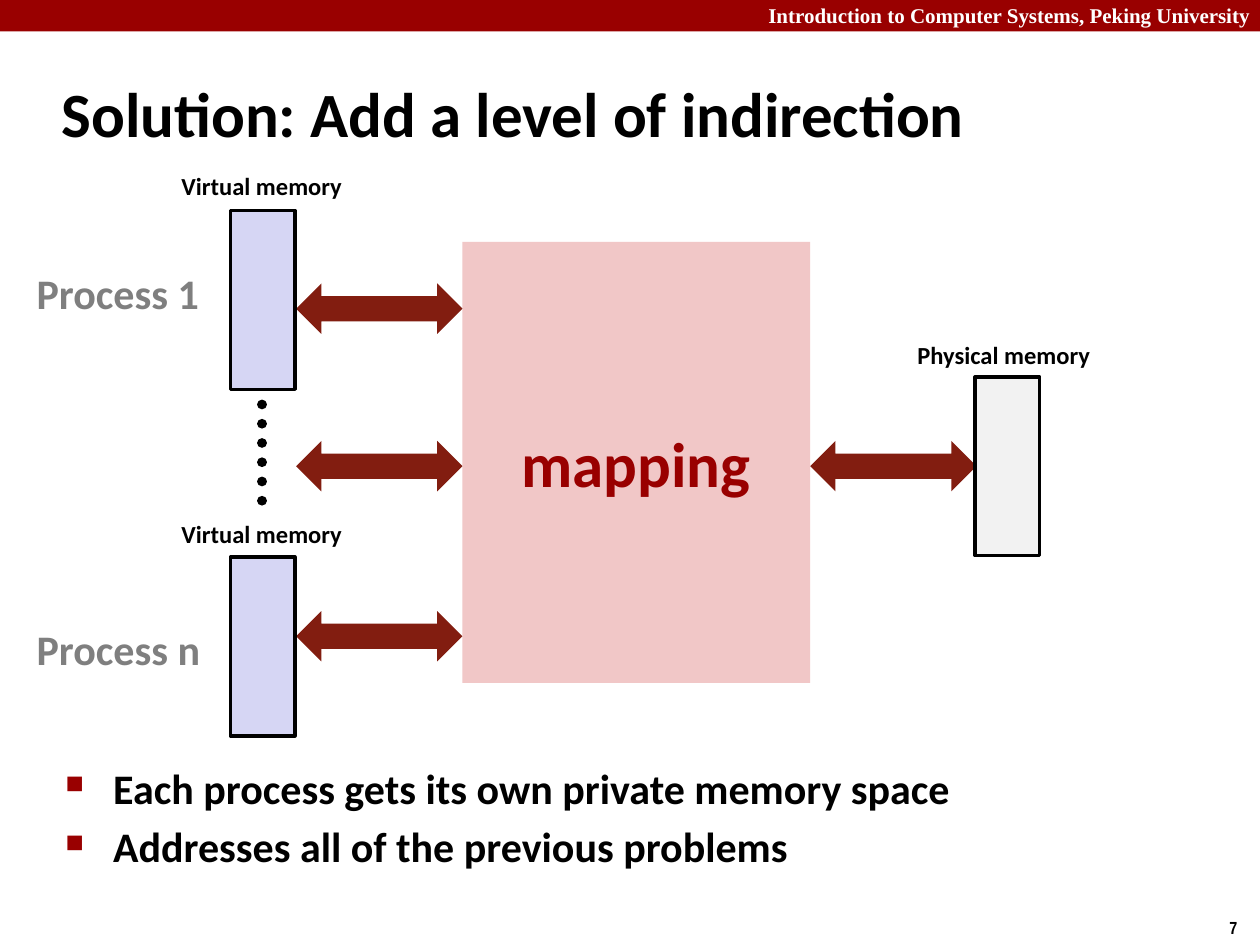
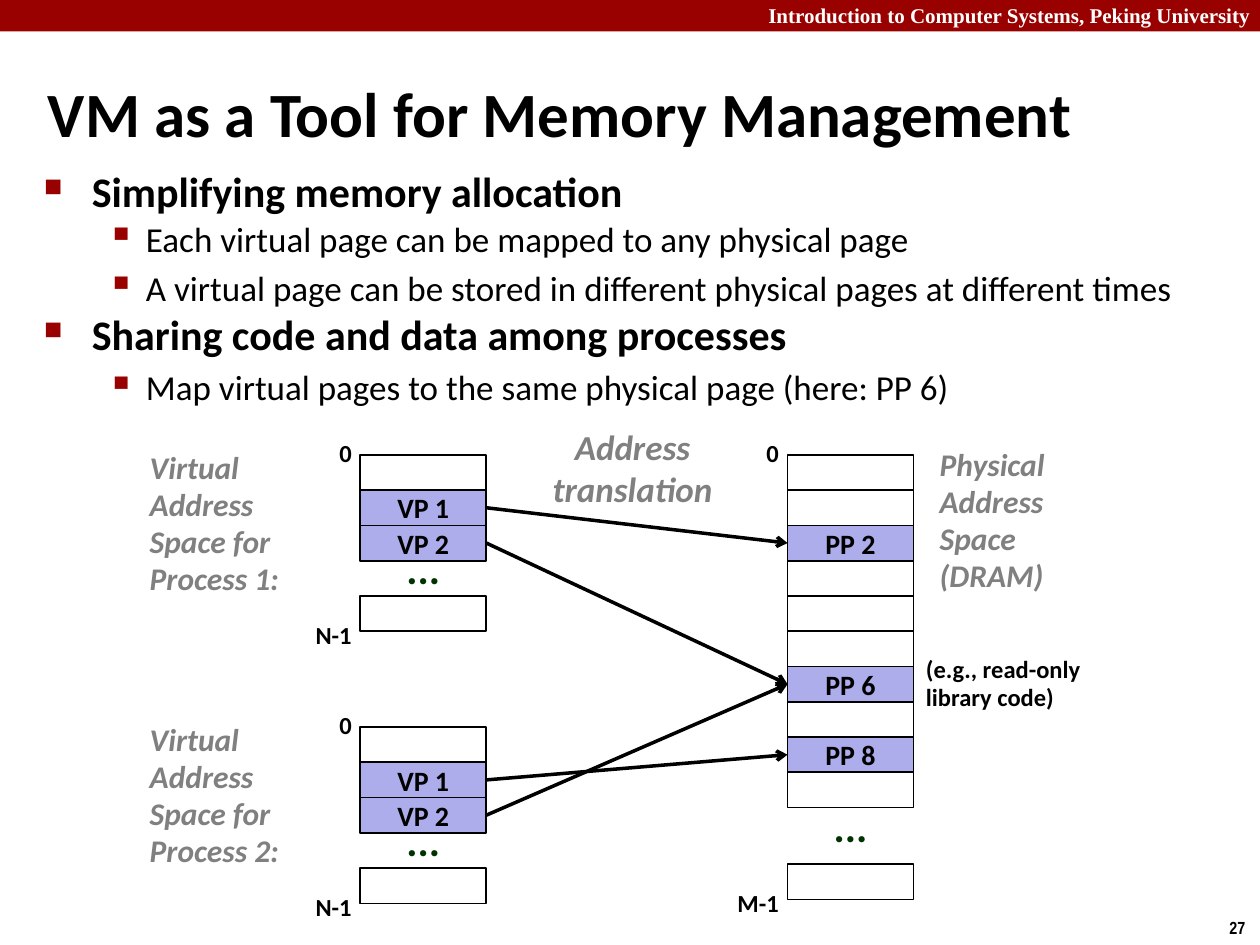
from lxml import etree
from pptx import Presentation
from pptx import util as u
from pptx.dml.color import RGBColor
from pptx.enum import dml, shapes, text
from pptx.oxml import ns

BLACK, WHITE, RED, BROWN = "000000", "FFFFFF", "990000", "821D10"
PINK, LILAC, LAVENDER, PALE = "F1C7C7", "D6D6F4", "ADADEB", "F2F2F2"
GRAY, MID_GRAY, GREEN = "7F7F7F", "808080", "003300"
LEFT, CENTER, RIGHT = text.PP_ALIGN.LEFT, text.PP_ALIGN.CENTER, text.PP_ALIGN.RIGHT
TOP, MIDDLE = text.MSO_ANCHOR.TOP, text.MSO_ANCHOR.MIDDLE
RECTANGLE = shapes.MSO_SHAPE.RECTANGLE
DOUBLE_ARROW = shapes.MSO_SHAPE.LEFT_RIGHT_ARROW
RIGHT_SIDE, LEFT_SIDE = 3, 1

COURSE = "Introduction to Computer Systems, Peking University"
# Per level: left margin, hanging indent, symbol, symbol percent, text size, bold
BULLET_LEVELS = [(0.38, -0.38, "■", 60, 24, True), (0.81, -0.31, "▪", 110, 20, False)]
CELL_WIDTH, CELL_HEIGHT = 1, 0.28


def color(value):
    return RGBColor.from_string(value)


def inches(box):
    return [u.Inches(length) for length in box]


def add_child(parent, tag, **attributes):
    child = etree.SubElement(parent, ns.qn(tag))
    for name, value in attributes.items():
        child.set(name, str(value))
    return child


def format_paragraph(paragraph, size=14, fill=BLACK, bold=True, italic=False,
                     font="Calibri", align=LEFT, spacing=None):
    paragraph.alignment = align
    if spacing:
        paragraph.line_spacing = spacing
    paragraph.font.name = font
    paragraph.font.size = u.Pt(size)
    paragraph.font.bold = bold
    paragraph.font.italic = italic
    paragraph.font.color.rgb = color(fill)


def write(shape, content, anchor=TOP, inset=(0.1, 0.05), wrap=True, **style):
    """Fill a shape with one paragraph per line of content."""
    frame = shape.text_frame
    frame.auto_size = text.MSO_AUTO_SIZE.NONE
    frame.word_wrap = wrap
    frame.vertical_anchor = anchor
    frame.margin_left = frame.margin_right = u.Inches(inset[0])
    frame.margin_top = frame.margin_bottom = u.Inches(inset[1])
    frame.text = content
    for paragraph in frame.paragraphs:
        format_paragraph(paragraph, **style)


def add_bullet(paragraph, level):
    margin, indent, symbol, percent, _, _ = BULLET_LEVELS[level]
    properties = paragraph._p.get_or_add_pPr()
    properties.set("marL", str(u.Inches(margin)))
    properties.set("indent", str(u.Inches(indent)))
    add_child(add_child(properties, "a:buClr"), "a:srgbClr", val=RED)
    add_child(properties, "a:buSzPct", val=percent * 1000)
    add_child(properties, "a:buChar", char=symbol)


class Deck:
    def __init__(self):
        self.presentation = Presentation()
        self.presentation.slide_width = u.Inches(10)
        self.presentation.slide_height = u.Inches(7.5)
        self.slide = None

    def start_slide(self, title, title_box, number):
        layout = self.presentation.slide_layouts.get_by_name("Title Only")
        self.slide = self.presentation.slides.add_slide(layout)
        holder = self.slide.shapes.title
        holder.left, holder.top, holder.width, holder.height = inches(title_box)
        write(holder, title, anchor=MIDDLE, size=36)
        self.shape(0, 0, 10, 0.25, fill=RED)
        self.label(COURSE, 6, -0.03, 4.07, 0.3, size=12, fill=WHITE, font="Times New Roman")
        self.label(number, 9.66, 7.23, 0.34, 0.27, wrap=False, size=10, font="Arial Narrow")

    def shape(self, *box, kind=RECTANGLE, fill=None, line_width=0):
        shape = self.slide.shapes.add_shape(kind, *inches(box))
        shape.shadow.inherit = False
        if fill:
            shape.fill.solid()
            shape.fill.fore_color.rgb = color(fill)
        else:
            shape.fill.background()
        if line_width:
            shape.line.color.rgb = color(BLACK)
            shape.line.width = u.Pt(line_width)
        else:
            shape.line.fill.background()
        return shape

    def label(self, content, *box, **style):
        write(self.slide.shapes.add_textbox(*inches(box)), content, **style)

    def line(self, start, end, width):
        connector = self.slide.shapes.add_connector(
            shapes.MSO_CONNECTOR.STRAIGHT, *inches(start + end))
        connector.line.color.rgb = color(BLACK)
        connector.line.width = u.Pt(width)
        add_child(connector._element.spPr, "a:effectLst")
        return connector

    def dotted_line(self, start, end, width):
        connector = self.line(start, end, width)
        connector.line.dash_style = dml.MSO_LINE.ROUND_DOT
        connector.line._get_or_add_ln().set("cap", "rnd")

    def arrow(self, source, target):
        """Point from the right side of source to the left side of target."""
        connector = self.line((0, 0), (1, 1), 2)
        connector.begin_connect(source, RIGHT_SIDE)
        connector.end_connect(target, LEFT_SIDE)
        add_child(connector.line._get_or_add_ln(), "a:tailEnd", type="arrow")

    def bullets(self, items, *box):
        """Write (level, text, line spacing) items as a bulleted list."""
        frame = self.slide.shapes.add_textbox(*inches(box)).text_frame
        frame.word_wrap = True
        for index, (level, content, spacing) in enumerate(items):
            paragraph = frame.paragraphs[0] if index == 0 else frame.add_paragraph()
            paragraph.text = content
            paragraph.level = level
            add_bullet(paragraph, level)
            size, bold = BULLET_LEVELS[level][4:]
            if index:
                paragraph.space_before = u.Pt(size * 0.2)
            format_paragraph(paragraph, size=size, bold=bold, spacing=spacing)

    def page_stack(self, left, top, count, pages, last_top, last_label):
        """Draw count cells, an ellipsis and a last cell; return the named cells."""
        cells = {}
        tops = [top + row * CELL_HEIGHT for row in range(count)] + [last_top]
        for row, cell_top in enumerate(tops):
            name = pages.get(row)
            cell = self.shape(left, cell_top, CELL_WIDTH, CELL_HEIGHT,
                              fill=LAVENDER if name else None, line_width=1)
            if name:
                write(cell, name, anchor=MIDDLE, size=16, align=CENTER)
                cells[name] = cell
        gap_middle = (tops[-2] + CELL_HEIGHT + last_top) / 2
        self.label("...", left, gap_middle - 0.28, CELL_WIDTH, 0.45,
                   size=24, fill=GREEN, align=CENTER, spacing=0.88)
        for content, label_top in (("0", top - 0.17), (last_label, last_top + 0.15)):
            self.label(content, left - 0.57, label_top, 0.6, 0.33,
                       align=RIGHT, spacing=0.98)
        return cells


def build_indirection(deck):
    deck.start_slide("Solution: Add a level of indirection", (0.39, 0.48, 8.3, 0.83), "7")
    deck.bullets([(0, "Each process gets its own private memory space", None),
                  (0, "Addresses all of the previous problems", None)],
                 0.42, 6, 9.17, 1.47)
    tight = {"inset": (0.04, 0.04)}
    mapping = deck.shape(3.67, 1.92, 2.76, 3.5, fill=PINK)
    write(mapping, "mapping", anchor=MIDDLE, size=36, fill=RED, align=CENTER, **tight)
    for left, top in ((2.35, 2.25), (2.35, 3.5), (2.35, 4.85), (6.43, 3.5)):
        deck.shape(left, top, 1.32, 0.4, kind=DOUBLE_ARROW, fill=BROWN)

    memories = [("Virtual memory", 1.4, 1.32, 1.83, 1.67, LILAC),
                ("Virtual memory", 1.4, 4.08, 1.83, 4.42, LILAC),
                ("Physical memory", 7.24, 2.66, 7.74, 2.99, PALE)]
    for name, label_left, label_top, left, top, fill in memories:
        deck.label(name, label_left, label_top, 1.5, 0.32, wrap=False, **tight)
        deck.shape(left, top, 0.51, 1.42, fill=fill, line_width=2)
    for name, top in (("Process 1", 2.08), ("Process n", 4.91)):
        deck.label(name, 0.25, top, 2.18, 0.49, size=24, fill=GRAY, **tight)
    deck.dotted_line((2.08, 3.21), (2.08, 4.03), 5.5)


def build_memory_management(deck):
    deck.start_slide("VM as a Tool for Memory Management", (0.28, 0.58, 9.42, 0.63), "27")
    deck.bullets([
        (0, "Simplifying memory allocation", 0.83),
        (1, "Each virtual page can be mapped to any physical page", 0.88),
        (1, "A virtual page can be stored in different physical pages at different times", None),
        (0, "Sharing code and data among processes", 0.83),
        (1, "Map virtual pages to the same physical page (here: PP 6)", None),
    ], 0.25, 1.33, 9.58, 2.08)

    caption = {"size": 18, "fill": MID_GRAY, "italic": True, "spacing": 0.98}
    physical = deck.page_stack(6.25, 3.61, 10, {2: "PP 2", 6: "PP 6", 8: "PP 8"}, 6.86, "M-1")
    processes = [(1, 3.61, {"VP 1": "PP 2", "VP 2": "PP 6"}),
                 (2, 5.77, {"VP 1": "PP 8", "VP 2": "PP 6"})]
    for number, top, page_map in processes:
        deck.label(f"Virtual Address Space for Process {number}:",
                   1.09, top - 0.09, 1.5, 1.28, **caption)
        virtual = deck.page_stack(2.86, top, 3, {1: "VP 1", 2: "VP 2"},
                                  top + 4 * CELL_HEIGHT, "N-1")
        for virtual_page, physical_page in page_map.items():
            deck.arrow(virtual[virtual_page], physical[physical_page])

    deck.label("Physical\nAddress\nSpace (DRAM)", 7.36, 3.5, 1.17, 1.29, **caption)
    deck.label("(e.g., read-only\nlibrary code)", 7.25, 5.15, 1.59, 0.56, spacing=0.98)
    deck.label("Address\ntranslation", 4.28, 3.33, 1.48, 0.77, wrap=False,
               size=20, fill=MID_GRAY, italic=True, align=CENTER)


def main():
    deck = Deck()
    build_indirection(deck)
    build_memory_management(deck)
    deck.presentation.save("out.pptx")


if __name__ == "__main__":
    main()
